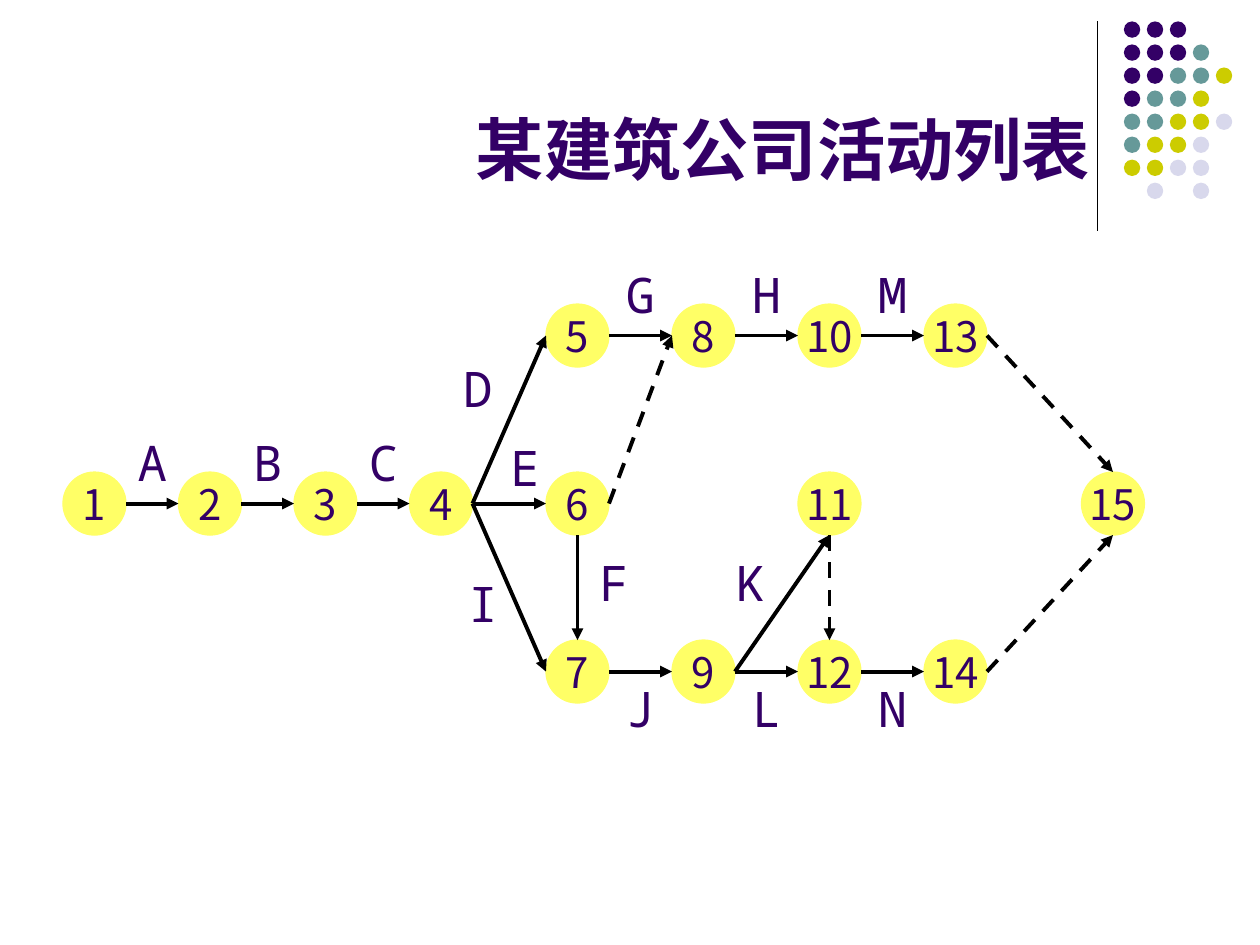
from collections import namedtuple

from pptx import Presentation
from pptx.dml.color import RGBColor
from pptx.enum.dml import MSO_LINE
from pptx.enum.shapes import MSO_CONNECTOR, MSO_SHAPE
from pptx.enum.text import MSO_ANCHOR, PP_ALIGN
from pptx.oxml.ns import qn
from pptx.util import Inches, Pt
from lxml.etree import SubElement

Box = namedtuple("Box", "left top width height")

INK, NODE, WHITE, BLACK = "330066", "FFFF66", "FFFFFF", "000000"
SANS, MONO = "Noto Sans CJK JP", "Noto Sans Mono"

DOT_COLORS = {"p": INK, "t": "669999", "y": "CCCC00", "l": "D8D8EC"}
DOT_ROWS = ["ppp", "pppt", "pptty", "ptty", "ttyyl", "tyyl", "yyll", " l l"]
DOT_SIZE = 0.13

# The network is laid out on a grid of 103 columns and 45 rows.
GRID_COLUMNS, GRID_ROWS = 103, 45
NODE_SIZE = 6
UPPER, MIDDLE, LOWER = 4, 20, 36
NODES = {
    1: (0, MIDDLE), 2: (11, MIDDLE), 3: (22, MIDDLE), 4: (33, MIDDLE),
    5: (46, UPPER), 6: (46, MIDDLE), 7: (46, LOWER),
    8: (58, UPPER), 9: (58, LOWER),
    10: (70, UPPER), 11: (70, MIDDLE), 12: (70, LOWER),
    13: (82, UPPER), 14: (82, LOWER), 15: (97, MIDDLE),
}
SIDES = {"top": (0.5, 0), "left": (0, 0.5), "bottom": (0.5, 1), "right": (1, 0.5)}
# Runs of activities that leave on the right and arrive on the left.
CHAINS = [(1, 2, 3, 4, 6), (4, 5, 8, 10, 13), (4, 7, 9, 12, 14)]
# start, side, end, side, dashed
BRANCHES = [
    (6, "bottom", 7, "top", False),
    (9, "right", 11, "bottom", False),
    (6, "right", 8, "left", True),
    (11, "bottom", 12, "top", True),
    (13, "right", 15, "top", True),
    (14, "right", 15, "bottom", True),
]
# column, row, columns wide, rows high
LABELS = {
    "A": (6, 16, 5, 6), "B": (17, 16, 5, 6), "C": (28, 16, 5, 6),
    "D": (37, 9, 5, 6), "E": (42, 17, 4, 5), "F": (50, 28, 5, 5),
    "G": (52, 0, 6, 6), "H": (64, 0, 6, 6), "M": (76, 0, 6, 6),
    "I": (38, 30, 4, 5), "J": (52, 40, 6, 5), "K": (63, 28, 5, 5),
    "L": (64, 40, 6, 5), "N": (76, 40, 6, 5),
}


def color(value):
    return RGBColor.from_string(value)


def write(shape, text, font_name, size, align, anchor, bold=False, wrap=False):
    frame = shape.text_frame
    frame.word_wrap = wrap
    frame.vertical_anchor = anchor
    para = frame.paragraphs[0]
    para.text = text
    para.alignment = align
    para.font.name = font_name
    para.font.size = Pt(size)
    para.font.bold = bold
    para.font.color.rgb = color(INK)


def add_filled(page, kind, box, fill, outlined=True):
    shape = page.shapes.add_shape(kind, *map(Inches, box))
    shape.shadow.inherit = False
    shape.fill.solid()
    shape.fill.fore_color.rgb = color(fill)
    if outlined:
        shape.line.color.rgb = color(fill)
        shape.line.width = Pt(0.75)
    else:
        shape.line.fill.background()
    return shape


def add_line(page, start, end, width, arrow=False, dashed=False):
    line = page.shapes.add_connector(
        MSO_CONNECTOR.STRAIGHT, *map(Inches, (*start, *end)))
    line.line.color.rgb = color(BLACK)
    line.line.width = Pt(width)
    if dashed:
        line.line.dash_style = MSO_LINE.DASH
    if arrow:
        SubElement(line.line._get_or_add_ln(), qn("a:tailEnd"), type="triangle")
    SubElement(line._element.spPr, qn("a:effectLst"))


def add_dots(page, box):
    pitch_x = (box.width - DOT_SIZE) / (max(map(len, DOT_ROWS)) - 1)
    pitch_y = (box.height - DOT_SIZE) / (len(DOT_ROWS) - 1)
    for row, pattern in enumerate(DOT_ROWS):
        for column, key in enumerate(pattern):
            if key in DOT_COLORS:
                dot = Box(box.left + column * pitch_x, box.top + row * pitch_y,
                          DOT_SIZE, DOT_SIZE)
                add_filled(page, MSO_SHAPE.OVAL, dot, DOT_COLORS[key], outlined=False)


def add_title(page, box, text):
    title = page.shapes.add_textbox(*map(Inches, box))
    write(title, text, MONO, 39, PP_ALIGN.RIGHT, MSO_ANCHOR.BOTTOM,
          bold=True, wrap=True)


def add_network(page, box):
    unit_x, unit_y = box.width / GRID_COLUMNS, box.height / GRID_ROWS

    def point(column, row):
        return box.left + column * unit_x, box.top + row * unit_y

    def cell(column, row, columns, rows):
        return Box(*point(column, row), columns * unit_x, rows * unit_y)

    def side_of(node, side):
        column, row = NODES[node]
        across, down = SIDES[side]
        return point(column + across * NODE_SIZE, row + down * NODE_SIZE)

    for letter, place in LABELS.items():
        label = add_filled(page, MSO_SHAPE.RECTANGLE, cell(*place), WHITE)
        write(label, letter, MONO, 28, PP_ALIGN.CENTER, MSO_ANCHOR.MIDDLE)

    for number, place in NODES.items():
        node = add_filled(page, MSO_SHAPE.OVAL,
                          cell(*place, NODE_SIZE, NODE_SIZE), NODE)
        write(node, str(number), SANS, 24, PP_ALIGN.CENTER, MSO_ANCHOR.MIDDLE)

    steps = [(start, "right", end, "left", False)
             for chain in CHAINS for start, end in zip(chain, chain[1:])]
    for start, leaving, end, arriving, dashed in steps + BRANCHES:
        add_line(page, side_of(start, leaving), side_of(end, arriving), 2.25,
                 arrow=True, dashed=dashed)


def main():
    deck = Presentation()
    deck.slide_width, deck.slide_height = Inches(10), Inches(7.5)
    page = deck.slides.add_slide(deck.slide_layouts[6])
    add_line(page, (8.71, 0.17), (8.71, 1.83), 0.75)
    add_dots(page, Box(8.92, 0.17, 0.86, 1.41))
    add_title(page, Box(0.5, 0.13, 8.25, 1.42), "某建筑公司活动列表")
    add_network(page, Box(0.5, 2.08, GRID_COLUMNS / 12, GRID_ROWS / 12))
    deck.save("out.pptx")


if __name__ == "__main__":
    main()
